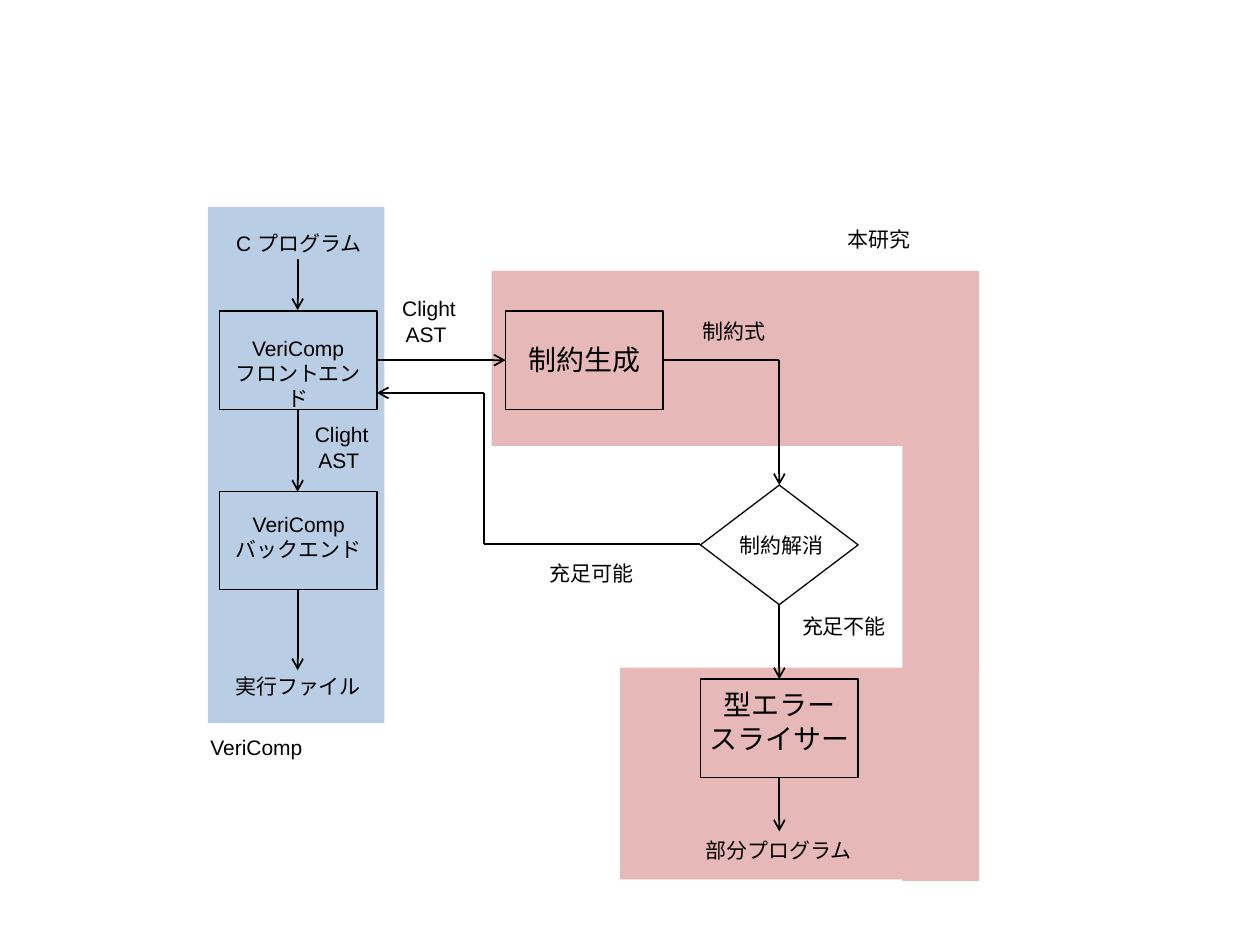
"""Build the flow diagram of a compiler joined to a type error slicer."""
from dataclasses import dataclass
from itertools import pairwise

from pptx import Presentation
from pptx.dml.color import RGBColor
from pptx.enum.shapes import MSO_CONNECTOR as Conn, MSO_SHAPE as Geo
from pptx.enum.text import MSO_AUTO_SIZE as Fit, PP_ALIGN as Align
from pptx.oxml.ns import qn
from pptx.util import Cm, Pt
from lxml.etree import SubElement

BLACK = RGBColor(0x00, 0x00, 0x00)
PINK = RGBColor(0xE6, 0xB9, 0xB8)
BLUE = RGBColor(0xB9, 0xCD, 0xE5)
LEFT_X, RIGHT_X = 6.0, 15.71
BOX_W, BOX_H = 3.18, 1.98


@dataclass(frozen=True)
class Block:
    """A filled region or an outlined node, in centimetres."""
    x: float
    y: float
    w: float = BOX_W
    h: float = BOX_H
    fill: RGBColor | None = None
    geo: Geo = Geo.RECTANGLE


@dataclass(frozen=True)
class Label:
    """A text box with its format, in centimetres."""
    text: str
    x: float
    y: float
    w: float
    h: float = 0.77
    size: int = 12
    font: str = "Arial"
    align: Align = Align.CENTER


BLOCKS = [
    Block(12.5, 13.46, 7.24, 4.27, PINK),
    Block(9.91, 5.46, 9.83, 3.53, PINK),
    Block(18.19, 5.49, 1.55, 12.27, PINK),
    Block(4.19, 4.17, 3.56, 10.41, BLUE),
    Block(4.42, 6.27),
    Block(10.19, 6.27),
    Block(4.42, 9.91),
    Block(14.12, 9.78, h=2.41, geo=Geo.DIAMOND),
    Block(14.12, 13.69),
]
LABELS = [
    Label("C プログラム", 4.22, 4.52, 3.61),
    Label("VeriComp\nフロントエンド", 4.42, 6.63, BOX_W, 1.28),
    Label("制約生成", 10.19, 6.78, BOX_W, 0.94, size=16),
    Label("VeriComp\nバックエンド", 4.45, 10.19, 3.15, 1.28),
    Label("制約解消", 14.66, 10.62, 2.79, align=Align.LEFT),
    Label("型エラー\nスライサー", 13.97, 13.74, 3.48, 1.62, size=16),
    Label("実行ファイル", 4.42, 13.46, BOX_W),
    Label("部分プログラム", 13.41, 16.76, 4.57),
    Label(" Clight AST", 7.42, 5.84, 2.34, 1.28),
    Label(" Clight AST", 5.66, 8.38, 2.34, 1.28),
    Label("制約式", 13.36, 6.3, 2.87),
    Label("充足可能", 10.49, 11.18, 2.87),
    Label("充足不能", 15.39, 12.24, 3.25),
    Label("VeriComp", 3.99, 14.68, 4.04, align=Align.LEFT),
    Label("本研究", 16.84, 4.45, 3.38, font="Noto Sans CJK JP", align=Align.LEFT),
]
ROUTES = [
    [(LEFT_X, 5.23), (LEFT_X, 6.25)],
    [(LEFT_X, 8.25), (LEFT_X, 9.91)],
    [(LEFT_X, 11.89), (LEFT_X, 13.51)],
    [(7.6, 7.26), (10.19, 7.26)],
    [(13.37, 7.26), (RIGHT_X, 7.26), (RIGHT_X, 9.78)],
    [(RIGHT_X, 12.19), (RIGHT_X, 13.69)],
    [(RIGHT_X, 15.67), (RIGHT_X, 16.76)],
    [(14.12, 10.97), (9.75, 10.97), (9.75, 7.92), (7.6, 7.92)],
]


def add_block(s, b: Block) -> None:
    """Draw a region with a fill or a node with an outline."""
    sp = s.shapes.add_shape(b.geo, Cm(b.x), Cm(b.y), Cm(b.w), Cm(b.h))
    sp.shadow.inherit = False
    if b.fill is None:
        sp.fill.background()
        sp.line.color.rgb = BLACK
        sp.line.width = Pt(0.75)
    else:
        sp.fill.solid()
        sp.fill.fore_color.rgb = b.fill
        sp.line.fill.background()


def add_text(s, text: str, x: float, y: float, w: float, h: float, *,
             size: int, font: str, align: Align) -> None:
    """Write text in a wrapping box, one paragraph a line."""
    tf = s.shapes.add_textbox(Cm(x), Cm(y), Cm(w), Cm(h)).text_frame
    tf.word_wrap = True
    tf.auto_size = Fit.SHAPE_TO_FIT_TEXT
    tf.text = text
    for p in tf.paragraphs:
        p.alignment = align
        for r in p.runs:
            r.font.name = font
            r.font.size = Pt(size)
            r.font.color.rgb = BLACK


def add_route(s, points: list[tuple[float, float]]) -> None:
    """Join the points with lines and put an arrowhead on the last."""
    for start, end in pairwise(points):
        ends = [Cm(v) for v in (*start, *end)]
        c = s.shapes.add_connector(Conn.STRAIGHT, *ends)
        c.line.color.rgb = BLACK
        c.line.width = Pt(1)
        if end == points[-1]:
            SubElement(c.line._get_or_add_ln(), qn("a:tailEnd"), type="arrow")
        SubElement(c._element.spPr, qn("a:effectLst"))


def main() -> None:
    """Build and save the slide."""
    prs = Presentation()
    prs.slide_width, prs.slide_height = Cm(25.4), Cm(19.05)
    s = prs.slides.add_slide(prs.slide_layouts[6])
    for b in BLOCKS:
        add_block(s, b)
    for t in LABELS:
        add_text(s, t.text, t.x, t.y, t.w, t.h,
                 size=t.size, font=t.font, align=t.align)
    for points in ROUTES:
        add_route(s, points)
    prs.save("out.pptx")


main()
